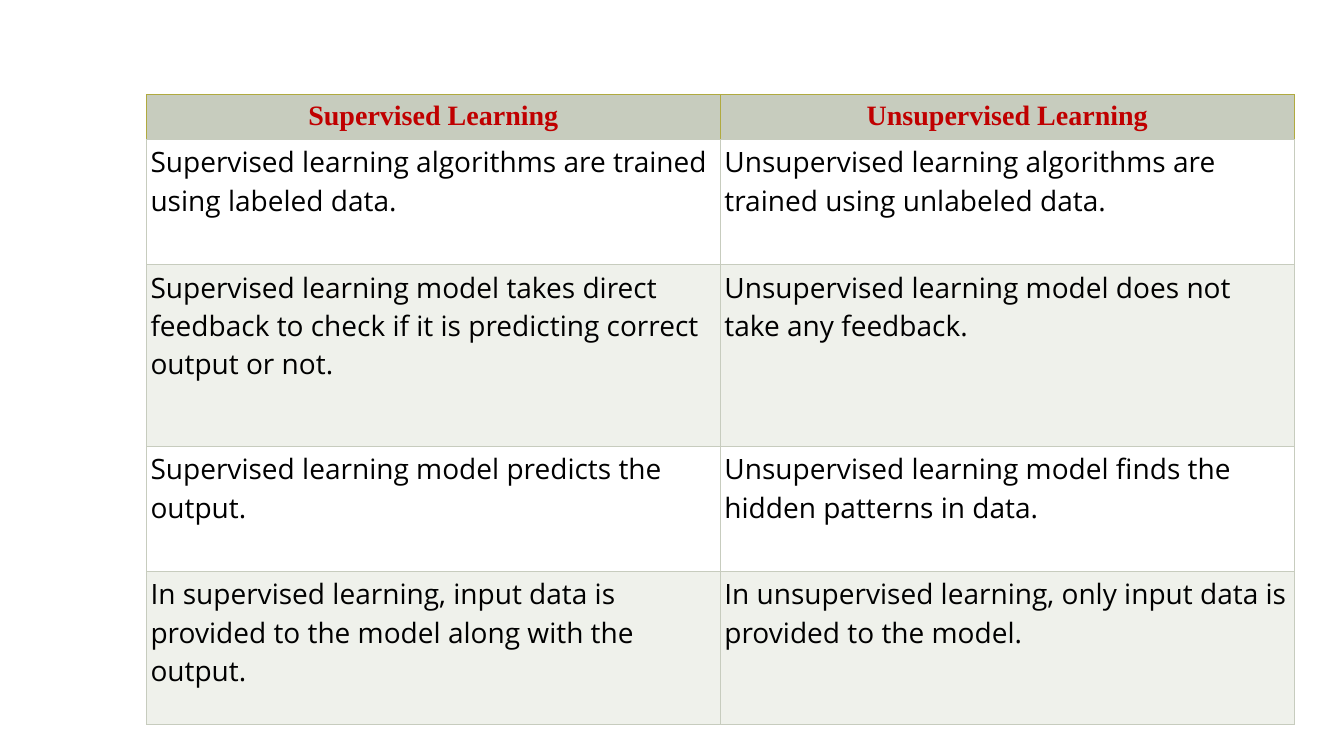
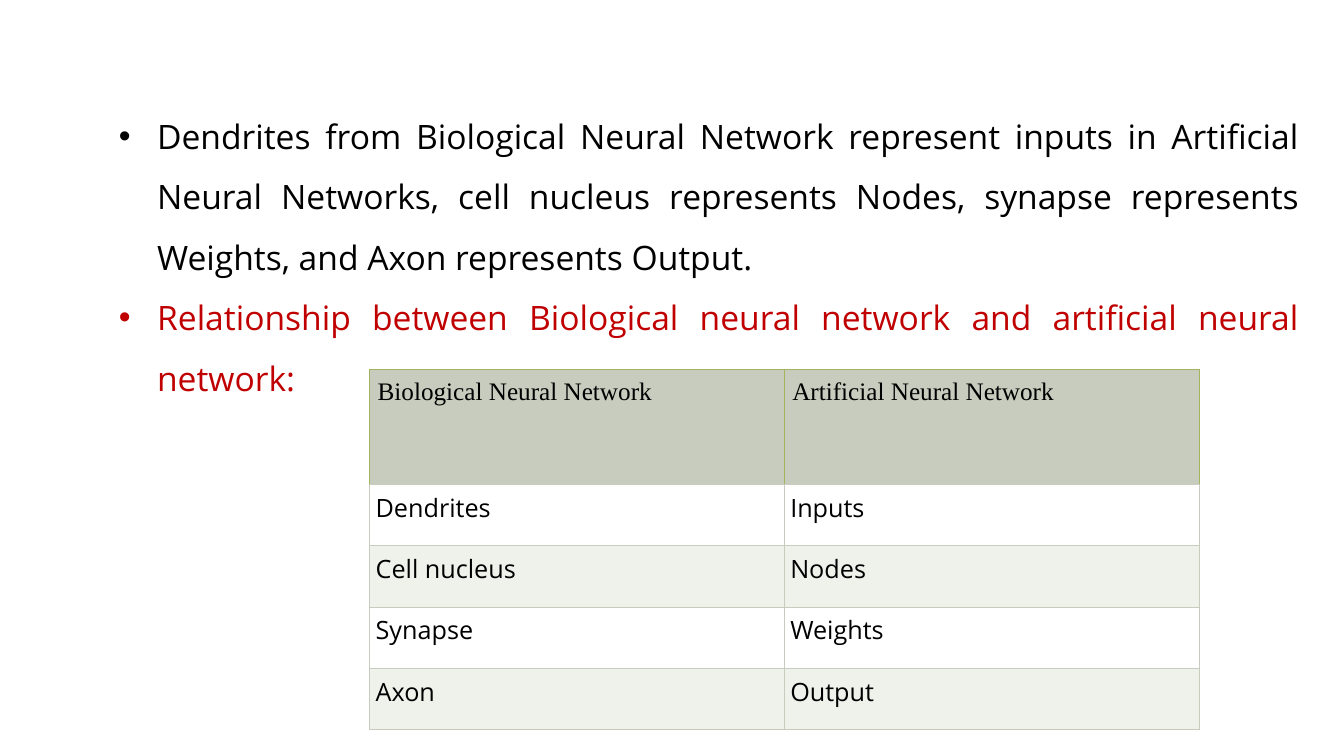
from lxml import etree
from pptx import Presentation
from pptx.dml.color import RGBColor
from pptx.enum.text import MSO_AUTO_SIZE, PP_ALIGN
from pptx.oxml.ns import qn
from pptx.util import Inches, Pt

CENTER, JUSTIFY, LEFT = PP_ALIGN.CENTER, PP_ALIGN.JUSTIFY, PP_ALIGN.LEFT
GROW = MSO_AUTO_SIZE.SHAPE_TO_FIT_TEXT

WIDTH, HEIGHT = Inches(13.33), Inches(7.5)
BLACK, RED = "000000", "C00000"
HEAD_FILL = GRID_LINE = "C7CCBE"
BAND_FILLS = ("FFFFFF", "EFF1EB")
BODY_FONT, HEAD_FONT = "Open Sans", "Times New Roman"

LEARNING = [
    ("Supervised Learning", "Unsupervised Learning"),
    ("Supervised learning algorithms are trained using labeled data.",
     "Unsupervised learning algorithms are trained using unlabeled data."),
    ("Supervised learning model takes direct feedback to check if it is "
     "predicting correct output or not.",
     "Unsupervised learning model does not take any feedback."),
    ("Supervised learning model predicts the output.",
     "Unsupervised learning model finds the hidden patterns in data."),
    ("In supervised learning, input data is provided to the model along with "
     "the output.",
     "In unsupervised learning, only input data is provided to the model."),
]
NETWORKS = [
    ("Biological Neural Network", "Artificial Neural Network"),
    ("Dendrites", "Inputs"),
    ("Cell nucleus", "Nodes"),
    ("Synapse", "Weights"),
    ("Axon", "Output"),
]
POINTS = [
    ("Dendrites from Biological Neural Network represent inputs in Artificial "
     "Neural Networks, cell nucleus represents Nodes, synapse represents "
     "Weights, and Axon represents Output.", BLACK),
    ("Relationship between Biological neural network and artificial neural "
     "network:", RED),
]


def rgb(color):
    return RGBColor.from_string(color)


def across(percent):
    return round(WIDTH * percent / 100)


def down(percent):
    return round(HEIGHT * percent / 100)


def set_all(obj, values):
    for name, value in values.items():
        setattr(obj, name, value)


def add_text(p, text, size, font=BODY_FONT, color=BLACK, bold=False, align=LEFT):
    p.alignment = align
    r = p.add_run()
    r.text = text
    set_all(r.font, {"size": Pt(size), "name": font, "bold": bold})
    r.font.color.rgb = rgb(color)


def add_bullet(p, indent):
    pPr = p._p.get_or_add_pPr()
    pPr.set("marL", str(indent))
    pPr.set("indent", str(-indent))
    etree.SubElement(pPr, qn("a:buFont"), typeface="Arial")
    etree.SubElement(pPr, qn("a:buChar"), char="•")


def set_borders(cell, outer):
    """Draw all four sides; the bottom one always takes the grid colour."""
    tcPr = cell._tc.get_or_add_tcPr()
    sides = {"lnL": outer, "lnR": outer, "lnT": outer, "lnB": GRID_LINE}
    for side, color in sides.items():
        ln = etree.SubElement(tcPr, qn(f"a:{side}"), w=str(Pt(0.5)))
        fill = etree.SubElement(ln, qn("a:solidFill"))
        etree.SubElement(fill, qn("a:srgbClr"), val=color)


def format_cell(cell, text, inset, fill, border, style):
    sides = ("left", "top", "right", "bottom")
    set_all(cell, {f"margin_{side}": Inches(inset) for side in sides})
    set_borders(cell, border)
    cell.fill.solid()
    cell.fill.fore_color.rgb = rgb(fill)
    add_text(cell.text_frame.paragraphs[0], text, **style)


def add_comparison(s, rows, left, top, width, heights, insets, head_border,
                   head_style, body_style):
    """Add a banded table; place and heights are percents of the slide."""
    columns = len(rows[0])
    table = s.shapes.add_table(len(rows), columns, across(left), down(top),
                               across(width), down(sum(heights))).table
    set_all(table, {"first_row": False, "horz_banding": False})
    for column in table.columns:
        column.width = across(width / columns)
    head_inset, body_inset = insets
    for i, (texts, height) in enumerate(zip(rows, heights)):
        table.rows[i].height = down(height)
        if i == 0:
            look = (head_inset, HEAD_FILL, head_border, head_style)
        else:
            look = (body_inset, BAND_FILLS[(i - 1) % 2], GRID_LINE, body_style)
        for j, text in enumerate(texts):
            format_cell(table.cell(i, j), text, *look)


def add_bullets(s, points, left, top, width, height):
    tf = s.shapes.add_textbox(across(left), down(top), across(width),
                              down(height)).text_frame
    set_all(tf, {"word_wrap": True, "auto_size": GROW})
    for i, (text, color) in enumerate(points):
        p = tf.add_paragraph() if i else tf.paragraphs[0]
        p.line_spacing = 1.5
        add_bullet(p, Inches(0.38))
        add_text(p, text, 24, color=color, align=JUSTIFY)


def main():
    prs = Presentation()
    set_all(prs, {"slide_width": WIDTH, "slide_height": HEIGHT})
    blank = prs.slide_layouts[6]

    s = prs.slides.add_slide(blank)
    add_comparison(
        s, LEARNING, 10.9, 12.5, 85.4, [5.9, 16.55, 24.05, 16.55, 20.3],
        insets=(0.06, 0.04), head_border="B0AA3F",
        head_style={"size": 20, "font": HEAD_FONT, "color": RED,
                    "bold": True, "align": CENTER},
        body_style={"size": 20})

    s = prs.slides.add_slide(blank)
    add_bullets(s, POINTS, 8.1, 12, 89.3, 41.7)
    add_comparison(
        s, NETWORKS, 27.5, 48.9, 61.7, [15.2] + [8.1] * 4,
        insets=(0.08, 0.06), head_border="A0B55D",
        head_style={"size": 18, "font": HEAD_FONT},
        body_style={"size": 18})

    prs.save("out.pptx")


if __name__ == "__main__":
    main()
